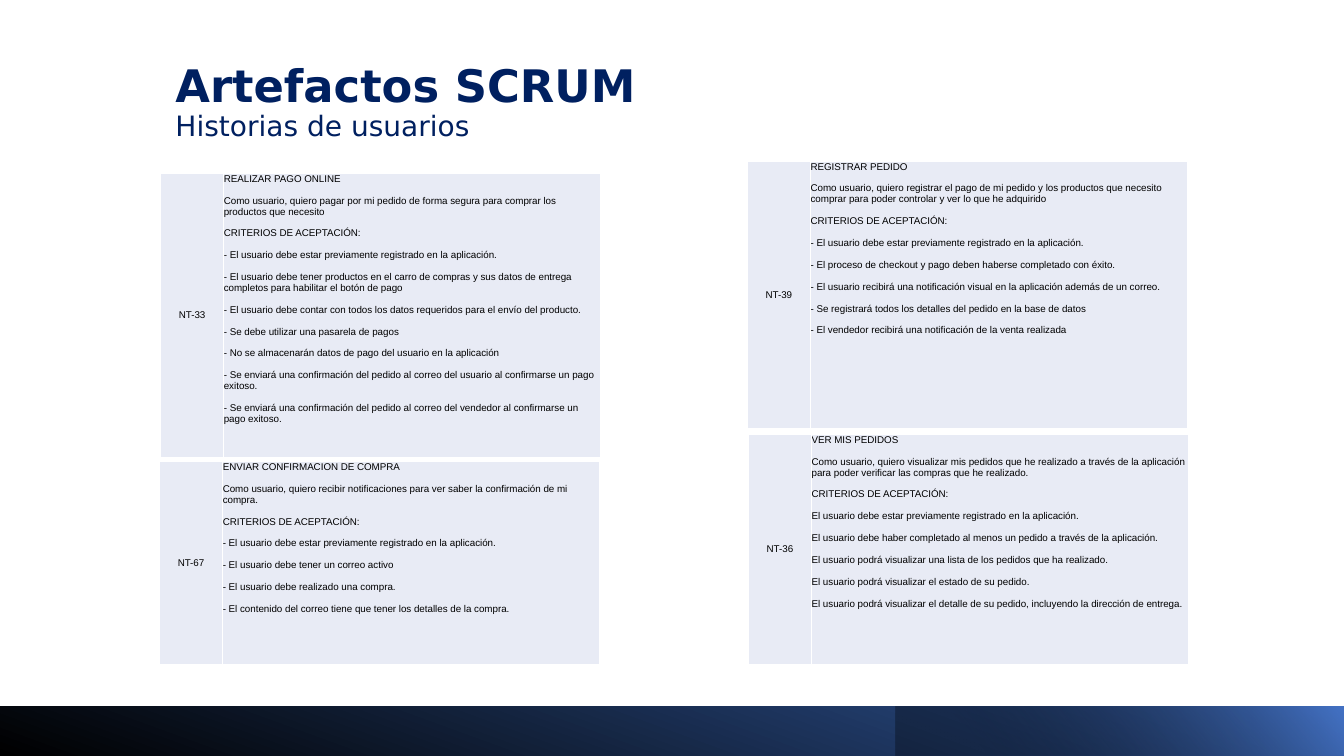
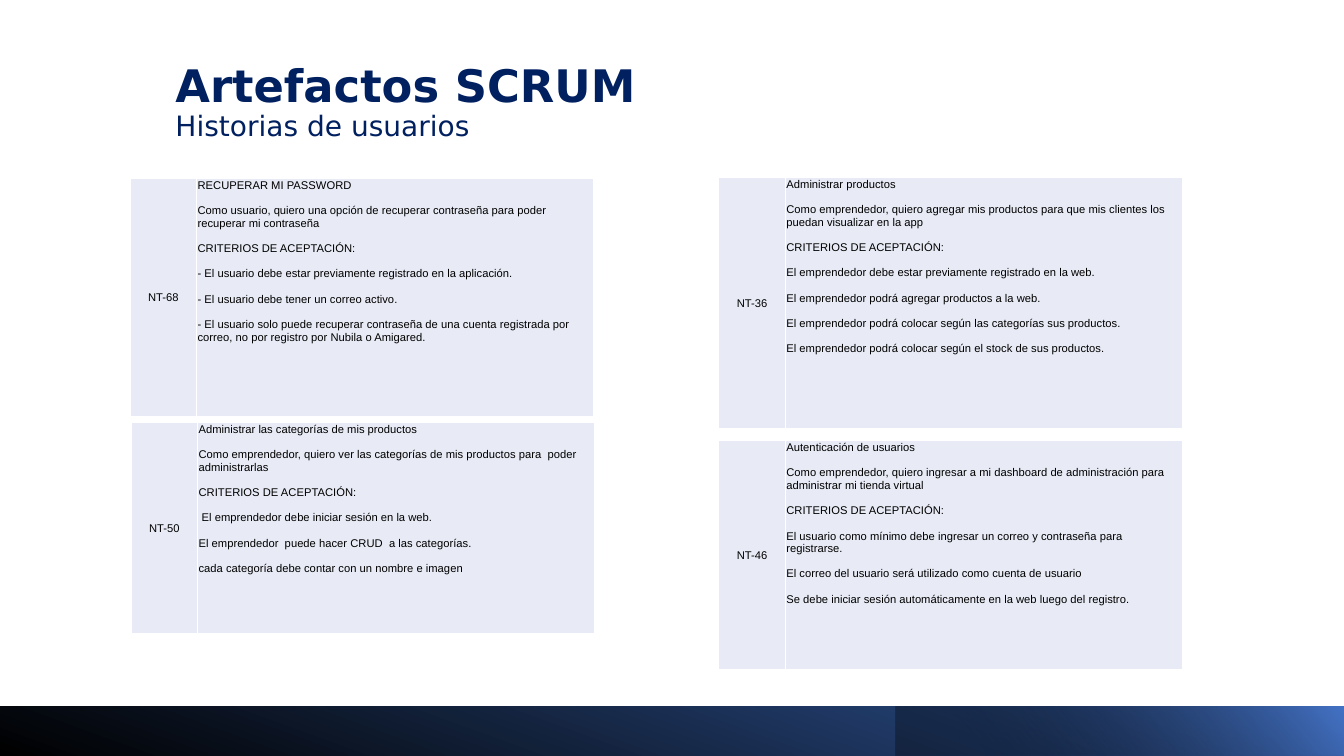
from dataclasses import dataclass

from lxml import etree
from pptx import Presentation
from pptx import util as u
from pptx.dml.color import RGBColor
from pptx.enum import shapes, text
from pptx.oxml import ns

NAVY = RGBColor(0x00, 0x20, 0x60)
BLACK = RGBColor(0x00, 0x00, 0x00)
WHITE = RGBColor(0xFF, 0xFF, 0xFF)
DEEP_BLUE = RGBColor(0x2F, 0x55, 0x97)
BRIGHT_BLUE = RGBColor(0x44, 0x72, 0xC4)
CELL_FILL = RGBColor(0xE8, 0xEB, 0xF5)

TITLE_FONT = "DejaVu Sans"
TABLE_FONT = "Arial"
SLIDE_WIDTH, SLIDE_HEIGHT = 13.33, 7.5
BAND_TOP = 7.01
ACCENT_LEFT = 8.88
TITLE_ONLY_LAYOUT = 5
CRITERIA = "CRITERIOS DE ACEPTACIÓN:"
REGISTERED = "El usuario debe estar previamente registrado en la aplicación."


@dataclass
class CardStyle:
    code_width: float
    story_width: float
    font_size: float
    paragraph_gap: float
    margin: float


@dataclass
class Story:
    left: float
    top: float
    height: float
    code: str
    name: str
    goal: str
    criteria: list


COMPACT = CardStyle(0.63, 3.74, 7, 7.8, 0)
REGULAR = CardStyle(0.66, 3.94, 8, 9, 0.01)

PURCHASE_STORIES = [
    Story(1.58, 4.58, 2.01, "NT-67", "ENVIAR CONFIRMACION DE COMPRA",
          "Como usuario, quiero recibir notificaciones para ver saber la "
          "confirmación de mi compra.",
          ["- " + REGISTERED,
           "- El usuario debe tener un correo activo",
           "- El usuario debe realizado una compra.",
           "- El contenido del correo tiene que tener los detalles de la compra."]),
    Story(1.59, 1.72, 2.82, "NT-33", "REALIZAR PAGO ONLINE",
          "Como usuario, quiero pagar por mi pedido de forma segura para "
          "comprar los productos que necesito",
          ["- " + REGISTERED,
           "- El usuario debe tener productos en el carro de compras y sus datos "
           "de entrega completos para habilitar el botón de pago",
           "- El usuario debe contar con todos los datos requeridos para el "
           "envío del producto.",
           "- Se debe utilizar una pasarela de pagos",
           "- No se almacenarán datos de pago del usuario en la aplicación",
           "- Se enviará una confirmación del pedido al correo del usuario al "
           "confirmarse un pago exitoso.",
           "- Se enviará una confirmación del pedido al correo del vendedor al "
           "confirmarse un pago exitoso."]),
    Story(7.41, 1.6, 2.65, "NT-39", "REGISTRAR PEDIDO",
          "Como usuario, quiero registrar el pago de mi pedido y los productos "
          "que necesito comprar para poder controlar y ver lo que he adquirido",
          ["- " + REGISTERED,
           "- El proceso de checkout y pago deben haberse completado con éxito.",
           "- El usuario recibirá una notificación visual en la aplicación "
           "además de un correo.",
           "- Se registrará todos los detalles del pedido en la base de datos",
           "- El vendedor recibirá una notificación de la venta realizada"]),
    Story(7.42, 4.31, 2.28, "NT-36", "VER MIS PEDIDOS",
          "Como usuario, quiero visualizar mis pedidos que he realizado a través "
          "de la aplicación para poder verificar las compras que he realizado.",
          [REGISTERED,
           "El usuario debe haber completado al menos un pedido a través de la "
           "aplicación.",
           "El usuario podrá visualizar una lista de los pedidos que ha realizado.",
           "El usuario podrá visualizar el estado de su pedido.",
           "El usuario podrá visualizar el detalle de su pedido, incluyendo la "
           "dirección de entrega."]),
]

ADMIN_STORIES = [
    Story(7.13, 4.37, 2.27, "NT-46", "Autenticación de usuarios",
          "Como emprendedor, quiero ingresar a mi dashboard de administración "
          "para administrar mi tienda virtual",
          ["El usuario como mínimo debe ingresar un correo y contraseña para "
           "registrarse.",
           "El correo del usuario será utilizado como cuenta de usuario",
           "Se debe iniciar sesión automáticamente en la web luego del registro."]),
    Story(1.29, 1.77, 2.36, "NT-68", "RECUPERAR MI PASSWORD",
          "Como usuario, quiero una opción de recuperar contraseña para poder "
          "recuperar mi contraseña",
          ["- " + REGISTERED,
           "- El usuario debe tener un correo activo.",
           "- El usuario solo puede recuperar contraseña de una cuenta registrada "
           "por correo, no por registro por Nubila o Amigared."]),
    Story(1.3, 4.19, 2.1, "NT-50", "Administrar las categorías de mis productos",
          "Como emprendedor, quiero ver las categorías de mis productos para  "
          "poder administrarlas",
          [" El emprendedor debe iniciar sesión en la web.",
           "El emprendedor  puede hacer CRUD  a las categorías.",
           "cada categoría debe contar con un nombre e imagen"]),
    Story(7.13, 1.76, 2.49, "NT-36", "Administrar productos",
          "Como emprendedor, quiero agregar mis productos para que mis clientes "
          "los puedan visualizar en la app",
          ["El emprendedor debe estar previamente registrado en la web.",
           "El emprendedor podrá agregar productos a la web.",
           "El emprendedor podrá colocar según las categorías sus productos.",
           "El emprendedor podrá colocar según el stock de sus productos."]),
]


def add_band(slide, left, angle, stops):
    """Add a footer band from left to the slide's right edge.

    Each stop is (position, colour, opacity in percent).
    """
    band = slide.shapes.add_shape(
        shapes.MSO_SHAPE.RECTANGLE, u.Inches(left), u.Inches(BAND_TOP),
        u.Inches(SLIDE_WIDTH - left), u.Inches(SLIDE_HEIGHT - BAND_TOP))
    band.shadow.inherit = False
    band.line.fill.background()
    band.fill.gradient()
    band.fill.gradient_angle = angle
    for gradient_stop, (position, colour, _) in zip(band.fill.gradient_stops, stops):
        gradient_stop.position = position
        gradient_stop.color.rgb = colour
    colour_elements = band._element.spPr.iter(ns.qn("a:srgbClr"))
    for element, (_, _, opacity) in zip(colour_elements, stops):
        if opacity < 100:
            etree.SubElement(element, ns.qn("a:alpha"), val=str(opacity * 1000))


def add_footer(slide):
    add_band(slide, 0, 70, [(0, BLACK, 100), (1, DEEP_BLUE, 100)])
    add_band(slide, ACCENT_LEFT, 40, [(0.19, BLACK, 31), (0.99, BRIGHT_BLUE, 100)])


def fill_title(slide, heading, subheading):
    title = slide.shapes.title
    title.left, title.top = u.Inches(1.64), u.Inches(0.3)
    title.width, title.height = u.Inches(8.62), u.Inches(1.45)
    frame = title.text_frame
    frame.auto_size = text.MSO_AUTO_SIZE.NONE
    frame.vertical_anchor = text.MSO_ANCHOR.MIDDLE
    paragraph = frame.paragraphs[0]
    paragraph.text = f"{heading}\v{subheading}"
    paragraph.alignment = text.PP_ALIGN.LEFT
    paragraph.line_spacing = 0.9
    for run, size, bold in zip(paragraph.runs, (32, 20), (True, False)):
        run.font.name = TITLE_FONT
        run.font.size = u.Pt(size)
        run.font.bold = bold
        run.font.color.rgb = NAVY


def add_cell_borders(cell):
    properties = cell._tc.get_or_add_tcPr()
    for side in ("lnL", "lnR", "lnT", "lnB"):
        line = etree.SubElement(properties, ns.qn(f"a:{side}"), w=str(u.Pt(1)))
        solid = etree.SubElement(line, ns.qn("a:solidFill"))
        etree.SubElement(solid, ns.qn("a:srgbClr"), val=str(WHITE))


def fill_cell(cell, lines, style, anchor, alignment):
    add_cell_borders(cell)
    cell.fill.solid()
    cell.fill.fore_color.rgb = CELL_FILL
    cell.vertical_anchor = anchor
    cell.margin_left = cell.margin_right = cell.margin_top = u.Inches(style.margin)
    cell.margin_bottom = 0
    cell.text_frame.text = "\n".join(lines)
    for index, paragraph in enumerate(cell.text_frame.paragraphs):
        paragraph.alignment = alignment
        if index:
            paragraph.space_before = u.Pt(style.paragraph_gap)
        for run in paragraph.runs:
            run.font.name = TABLE_FONT
            run.font.size = u.Pt(style.font_size)
            run.font.color.rgb = BLACK


def add_story_card(slide, story, style):
    table = slide.shapes.add_table(
        1, 2, u.Inches(story.left), u.Inches(story.top),
        u.Inches(style.code_width + style.story_width),
        u.Inches(story.height)).table
    table.first_row = table.horz_banding = False
    table.columns[0].width = u.Inches(style.code_width)
    table.columns[1].width = u.Inches(style.story_width)
    fill_cell(table.cell(0, 0), [story.code], style,
              text.MSO_ANCHOR.MIDDLE, text.PP_ALIGN.CENTER)
    fill_cell(table.cell(0, 1), [story.name, story.goal, CRITERIA, *story.criteria],
              style, text.MSO_ANCHOR.TOP, text.PP_ALIGN.LEFT)


def add_stories_slide(presentation, stories, style):
    slide = presentation.slides.add_slide(
        presentation.slide_layouts[TITLE_ONLY_LAYOUT])
    add_footer(slide)
    fill_title(slide, "Artefactos SCRUM", "Historias de usuarios")
    for story in stories:
        add_story_card(slide, story, style)


def main():
    presentation = Presentation()
    presentation.slide_width = u.Inches(SLIDE_WIDTH)
    presentation.slide_height = u.Inches(SLIDE_HEIGHT)
    add_stories_slide(presentation, PURCHASE_STORIES, COMPACT)
    add_stories_slide(presentation, ADMIN_STORIES, REGULAR)
    presentation.save("out.pptx")


if __name__ == "__main__":
    main()
